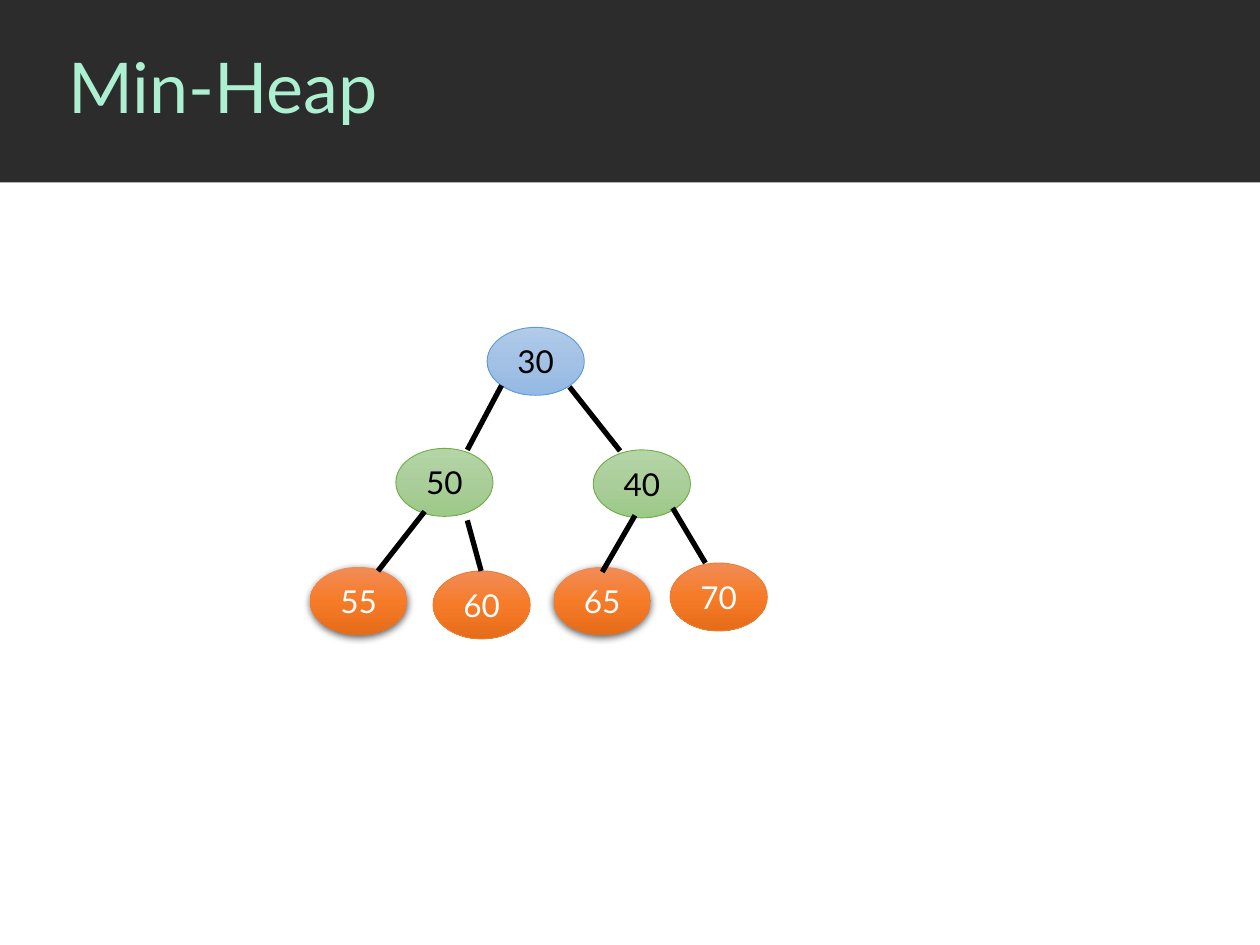
from copy import deepcopy

from lxml import etree
from pptx import Presentation
from pptx import util as u
from pptx.dml.color import RGBColor
from pptx.enum import shapes, text
from pptx.oxml import parse_xml
from pptx.oxml.ns import nsdecls, qn


def color(hex_string):
    return RGBColor.from_string(hex_string)


presentation = Presentation()
presentation.slide_width, presentation.slide_height = u.Cm(25.4), u.Cm(19.05)
slide = presentation.slides.add_slide(presentation.slide_layouts[5])

# Header band, behind the title
band = slide.shapes.add_shape(shapes.MSO_SHAPE.RECTANGLE, 0, 0, u.Cm(25.4), u.Cm(3.68))
band.shadow.inherit = False
band.fill.solid()
band.fill.fore_color.rgb = color("2C2C2C")
band.line.fill.background()
slide.shapes._spTree.insert(2, band._element)

# Title
title = slide.shapes.title
title.left, title.top, title.width, title.height = u.Cm(1.12), 0, u.Cm(24.28), u.Cm(3.66)
title.text_frame.text = "Min-Heap"
title.text_frame.vertical_anchor = text.MSO_ANCHOR.MIDDLE
paragraph = title.text_frame.paragraphs[0]
paragraph.alignment = text.PP_ALIGN.LEFT
paragraph.line_spacing = 0.9
paragraph.font.name = "Lato"
paragraph.font.size = u.Pt(40)
paragraph.font.color.rgb = color("ADF0D1")

# Heap nodes: gradient, outline and text colour by level
root = (("B1CBE9", "A3C1E5", "93B9E4"), "5B9BD5", "000000")
inner = (("B5D5A7", "AACE9A", "9CC987"), "70AD47", "000000")
leaf = (("F18C57", "F67B28", "E56C19"), "ED7D31", "FFFFFF")
raised_leaf = (leaf[0], None, leaf[2])  # shadow instead of an outline
nodes = [
    ("30", 9.82, 6.6, root),
    ("50", 7.98, 9.04, inner),
    ("40", 11.96, 9.07, inner),
    ("55", 6.25, 11.43, raised_leaf),
    ("60", 8.73, 11.51, leaf),
    ("65", 11.16, 11.43, raised_leaf),
    ("70", 13.51, 11.35, leaf),
]
SHADOW = (
    f'<a:effectLst {nsdecls("a")}><a:outerShdw blurRad="57150" dist="19050" dir="5400000" '
    'algn="ctr" rotWithShape="0"><a:srgbClr val="000000"><a:alpha val="63000"/></a:srgbClr>'
    "</a:outerShdw></a:effectLst>"
)
for label, left, top, (gradient, outline, text_color) in nodes:
    node = slide.shapes.add_shape(
        shapes.MSO_SHAPE.OVAL, u.Cm(left), u.Cm(top), u.Cm(1.96), u.Cm(1.37))
    node.shadow.inherit = False
    node.fill.gradient()
    node.fill.gradient_angle = 270
    stop_list = node._element.spPr.find(".//" + qn("a:gsLst"))
    stop_list.insert(1, deepcopy(stop_list[0]))
    for stop, position, stop_color in zip(node.fill.gradient_stops, (0, 0.5, 1), gradient):
        stop.position = position
        stop.color.rgb = color(stop_color)
    if outline:
        node.line.color.rgb = color(outline)
        node.line.width = u.Pt(0.5)
    else:
        node.line.fill.background()
        properties = node._element.spPr
        properties.replace(properties.find(qn("a:effectLst")), parse_xml(SHADOW))
    frame = node.text_frame
    frame.text = label
    frame.word_wrap = True
    frame.vertical_anchor = text.MSO_ANCHOR.MIDDLE
    paragraph = frame.paragraphs[0]
    paragraph.alignment = text.PP_ALIGN.CENTER
    paragraph.font.name = "Lato"
    paragraph.font.size = u.Pt(18)
    paragraph.font.color.rgb = color(text_color)

# Edges from parent to child
edges = [
    (10.11, 7.77, 9.42, 9.07),
    (11.48, 7.8, 12.5, 9.09),
    (8.56, 10.31, 7.62, 11.51),
    (9.42, 10.49, 9.7, 11.51),
    (12.8, 10.39, 12.14, 11.53),
    (13.56, 10.24, 14.22, 11.35),
]
for ends in edges:
    edge = slide.shapes.add_connector(
        shapes.MSO_CONNECTOR.STRAIGHT, *(u.Cm(value) for value in ends))
    edge.line.color.rgb = color("000000")
    edge.line.width = u.Pt(3)
    etree.SubElement(edge._element.spPr, qn("a:effectLst"))

presentation.save("out.pptx")
